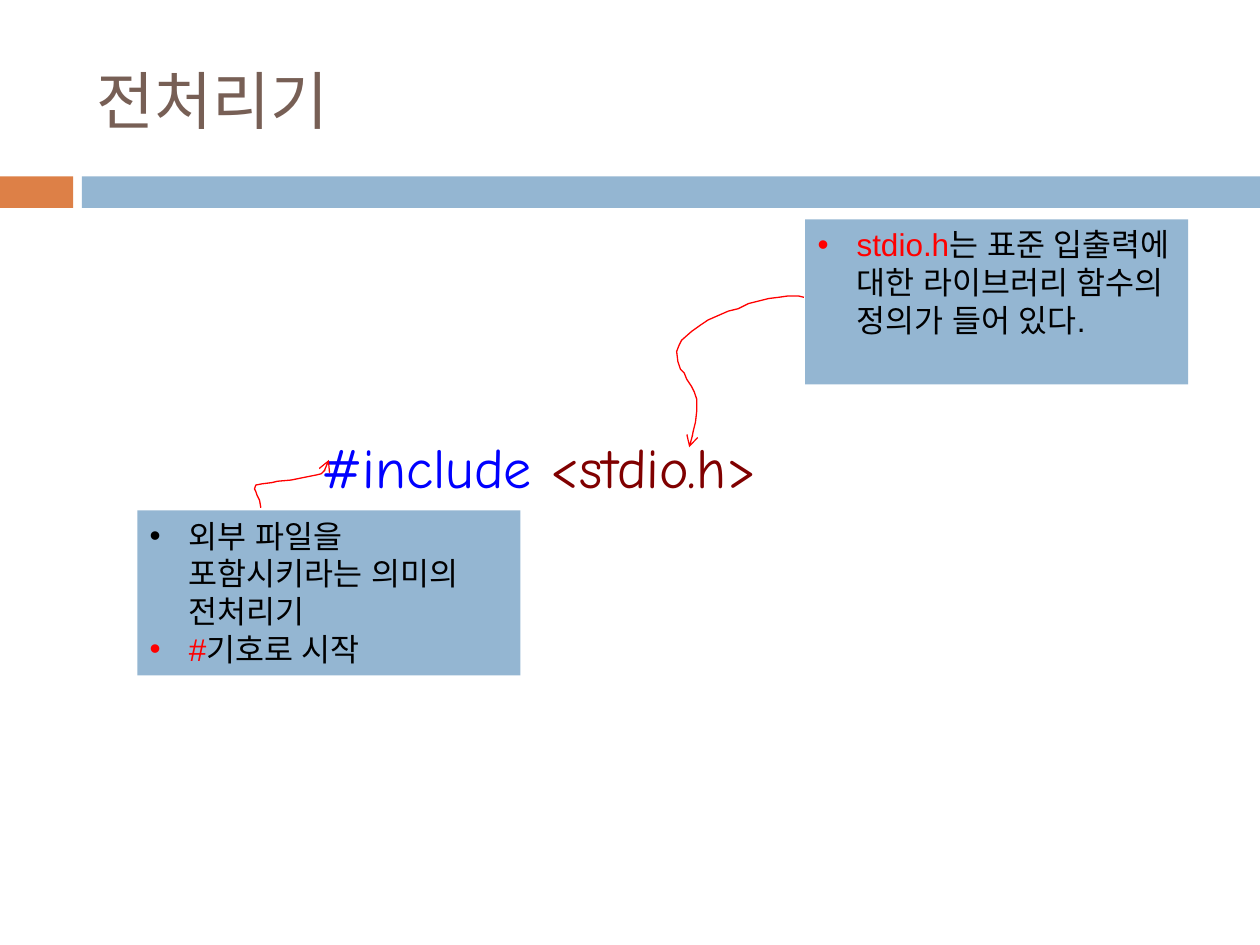
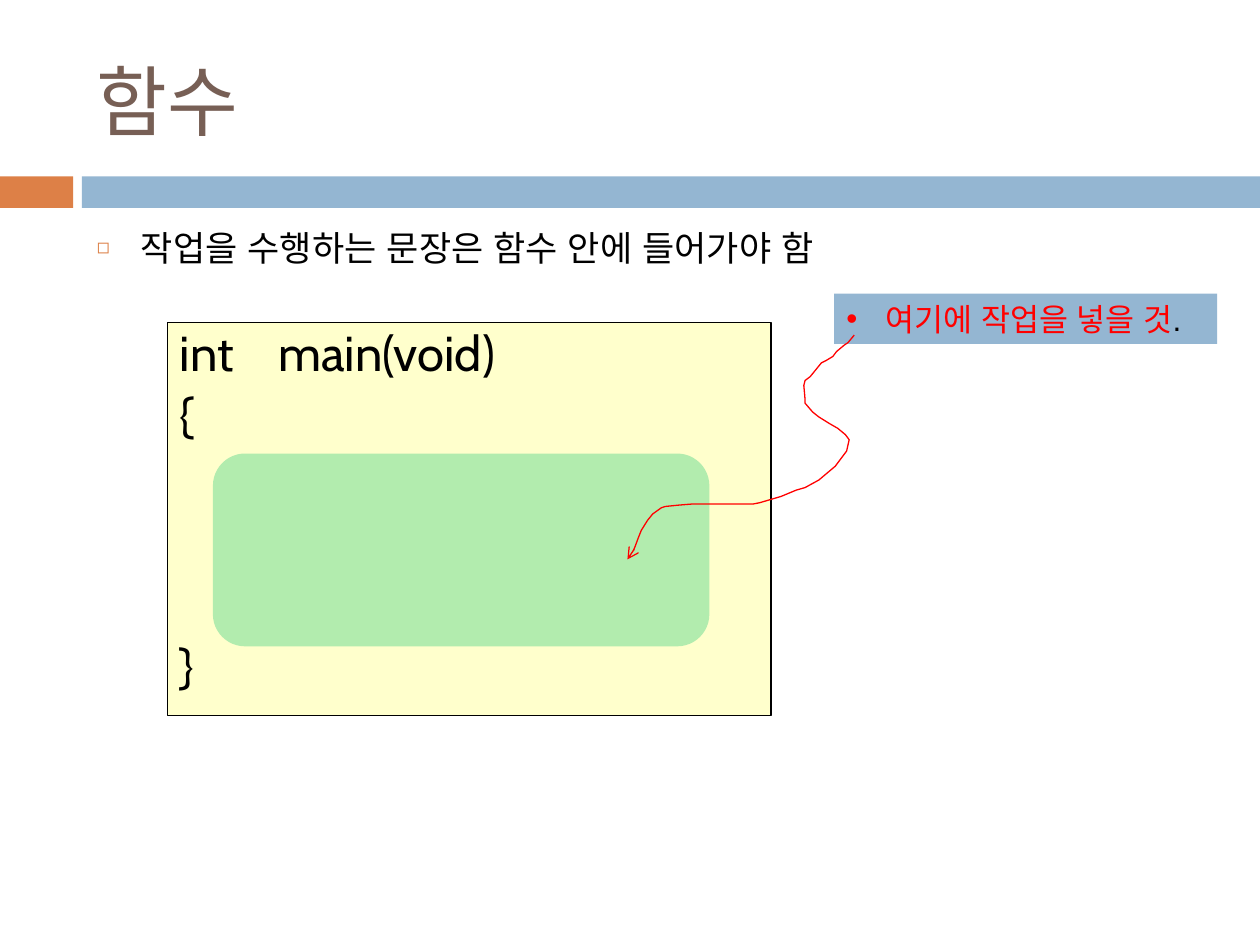
import dataclasses
import typing

import pptx
import pptx.dml.color
import pptx.enum.shapes
import pptx.enum.text
import pptx.oxml
import pptx.oxml.ns
import pptx.util

Inches = pptx.util.Inches
Pt = pptx.util.Pt
KIND = pptx.enum.shapes.MSO_SHAPE
ANCHOR = pptx.enum.text.MSO_ANCHOR

COLORS = {
    "orange": "DD8047", "blue": "94B6D2", "brown": "775F55",
    "black": "000000", "red": "FF0000", "key": "0000FF",
    "maroon": "800000", "cream": "FFFFCC", "green": "B2ECAE",
}

Spot = tuple[float, float, float, float]
Trail = list[tuple[float, float]]


@dataclasses.dataclass
class Run:
    text: str
    color: str = "black"


@dataclasses.dataclass
class Style:
    size: int
    font: str = "Arial"
    bullet: str = ""
    hang: float = 0
    tint: str = ""
    scale: int = 100
    tab: float = 0
    format: dict[str, typing.Any] = dataclasses.field(default_factory=dict)


@dataclasses.dataclass
class Line:
    runs: list[Run]
    format: dict[str, typing.Any] = dataclasses.field(default_factory=dict)


@dataclasses.dataclass
class Box:
    at: Spot
    fill: str = ""
    edge: str = ""
    kind: typing.Any = KIND.RECTANGLE
    lines: list[Line] = dataclasses.field(default_factory=list)
    style: Style | None = None
    anchor: typing.Any = ANCHOR.TOP


# Text styles
CODE = {"line_spacing": 0.9, "space_before": Pt(5.6)}
NOTE = Style(18, bullet="•", hang=0.31)
POINT = Style(20, bullet="◻", hang=0.35, tint="orange", scale=60,
              format={"space_before": Pt(7)})
HEADER = Style(32, "Comic Neue", format=CODE | {"space_before": Pt(6.4)})
SOURCE = Style(28, "Cabin", tab=0.78, format=CODE)

# Bands under the title
BANDS = [Box((0, 1.4, 0.58, 0.25), "orange"),
         Box((0.65, 1.4, 9.35, 0.25), "blue")]


def shade(name: str) -> pptx.dml.color.RGBColor:
    return pptx.dml.color.RGBColor.from_string(COLORS[name])


def apply(target: typing.Any, values: dict[str, typing.Any]) -> None:
    for name, value in values.items():
        setattr(target, name, value)


def add_xml(parent: typing.Any, tag: str, body: str = "") -> None:
    space = pptx.oxml.ns.nsdecls("a")
    name = tag.split()[0]
    parent.append(pptx.oxml.parse_xml(f"<a:{tag} {space}>{body}</a:{name}>"))


def mark(para: typing.Any, style: Style) -> None:
    """Add the bullet, hanging indent and tab stop."""
    props = para._p.get_or_add_pPr()
    if style.bullet:
        props.set("marL", str(Inches(style.hang)))
        props.set("indent", str(-Inches(style.hang)))
        if style.tint:
            add_xml(props, "buClr", f'<a:srgbClr val="{COLORS[style.tint]}"/>')
        add_xml(props, f'buSzPct val="{style.scale * 1000}"')
        add_xml(props, 'buFont typeface="Arial"')
        add_xml(props, f'buChar char="{style.bullet}"')
    if style.tab:
        add_xml(props, "tabLst", f'<a:tab pos="{Inches(style.tab)}" algn="l"/>')


def write(frame: typing.Any, box: Box) -> None:
    apply(frame, {"word_wrap": True, "vertical_anchor": box.anchor})
    style = box.style
    for spot, line in enumerate(box.lines):
        para = frame.add_paragraph() if spot else frame.paragraphs[0]
        left = {"alignment": pptx.enum.text.PP_ALIGN.LEFT}
        apply(para, left | style.format | line.format)
        mark(para, style)
        for part in line.runs:
            run = para.add_run()
            run.text = part.text
            apply(run.font, {"name": style.font, "size": Pt(style.size)})
            run.font.color.rgb = shade(part.color)
            # Korean text takes its word spaces from this font
            add_xml(run._r.get_or_add_rPr(), f'ea typeface="{style.font}"')


def paint(shape: typing.Any, fill: str, edge: str) -> None:
    shape.shadow.inherit = False
    if fill:
        shape.fill.solid()
        shape.fill.fore_color.rgb = shade(fill)
    else:
        shape.fill.background()
    if edge:
        shape.line.color.rgb = shade(edge)
        shape.line.width = Pt(0.75)
    else:
        shape.line.fill.background()


def draw(slide: typing.Any, box: Box) -> None:
    place = [Inches(side) for side in box.at]
    if box.fill:
        shape = slide.shapes.add_shape(box.kind, *place)
        paint(shape, box.fill, box.edge)
    else:
        shape = slide.shapes.add_textbox(*place)
    if box.lines:
        write(shape.text_frame, box)


def trace(slide: typing.Any, trail: Trail) -> None:
    """Draw a hand-drawn red line that ends in an open arrowhead."""
    first, *rest = [(Inches(x), Inches(y)) for x, y in trail]
    pen = slide.shapes.build_freeform(*first)
    pen.add_line_segments(rest, close=False)
    shape = pen.convert_to_shape()
    paint(shape, "", "red")
    add_xml(shape.line._get_or_add_ln(), 'tailEnd type="arrow"')


def add_page(deck: typing.Any, title: str, size: int) -> typing.Any:
    slide = deck.slides.add_slide(deck.slide_layouts[6])
    head = Box((0.67, 0.25, 8.92, 1.08), lines=[Line([Run(title, "brown")])],
               style=Style(size, "Cabin"), anchor=ANCHOR.MIDDLE)
    for box in [*BANDS, head]:
        draw(slide, box)
    return slide


def note(left: float, top: float, height: float, *lines: list[Run]) -> Box:
    return Box((left, top, 3.04, height), "blue",
               lines=[Line(runs) for runs in lines], style=NOTE)


def main() -> None:
    deck = pptx.Presentation()
    apply(deck, {"slide_width": Inches(10), "slide_height": Inches(7.5)})

    # Slide 1: the include line and its two notes
    slide = add_page(deck, "전처리기", 36)
    draw(slide, Box((2.45, 3.44, 3.94, 0.59), style=HEADER, lines=[
        Line([Run("#include", "key"), Run(" <stdio.h>", "maroon")])]))
    draw(slide, note(1.09, 4.05, 1.31,
                     [Run("외부 파일을 포함시키라는 의미의 전처리기")],
                     [Run("#", "red"), Run("기호로 시작")]))
    trace(slide, [
        (2.07, 4.03), (2.06, 3.97), (2.04, 3.93), (2.03, 3.9), (2.02, 3.88),
        (2.03, 3.85), (2.08, 3.84), (2.16, 3.83), (2.2, 3.82), (2.31, 3.81),
        (2.41, 3.79), (2.51, 3.77), (2.55, 3.76), (2.59, 3.72), (2.61, 3.68),
        (2.61, 3.65)])
    draw(slide, note(6.39, 1.74, 1.31, [
        Run("stdio.h", "red"),
        Run("는 표준 입출력에 대한 라이브러리 함수의 정의가 들어 있다.")]))
    trace(slide, [
        (6.38, 2.36), (6.34, 2.35), (6.25, 2.35), (6.18, 2.36), (6.1, 2.37),
        (5.94, 2.41), (5.86, 2.45), (5.78, 2.47), (5.62, 2.54), (5.56, 2.58),
        (5.49, 2.63), (5.41, 2.7), (5.39, 2.74), (5.37, 2.79), (5.38, 2.87),
        (5.4, 2.93), (5.43, 2.96), (5.45, 3.01), (5.49, 3.07), (5.51, 3.11),
        (5.53, 3.17), (5.53, 3.26), (5.52, 3.35), (5.5, 3.43), (5.49, 3.49),
        (5.47, 3.55)])

    # Slide 2: the main function and the place for its body
    slide = add_page(deck, "함수", 44)
    draw(slide, Box((0.67, 1.75, 8.92, 4.92), style=POINT, lines=[
        Line([Run("작업을 수행하는 문장은 함수 안에 들어가야 함")])]))
    draw(slide, Box((1.33, 2.56, 4.79, 3.12), "cream", "black", style=SOURCE,
                    lines=[Line([Run("int\tmain(void)")]), Line([Run("{")]),
                           Line([Run("}")], {"space_before": Pt(113)})]))
    draw(slide, Box((1.69, 3.6, 3.94, 1.53), "green",
                    kind=KIND.ROUNDED_RECTANGLE))
    draw(slide, note(6.62, 2.33, 0.4,
                     [Run("여기에 작업을 넣을 것", "red"), Run(".")]))
    trace(slide, [
        (6.78, 2.66), (6.73, 2.72), (6.7, 2.74), (6.64, 2.79), (6.61, 2.83),
        (6.56, 2.86), (6.52, 2.88), (6.43, 2.99), (6.39, 3.02), (6.38, 3.06),
        (6.39, 3.17), (6.39, 3.2), (6.45, 3.27), (6.5, 3.31), (6.58, 3.36),
        (6.65, 3.4), (6.71, 3.45), (6.74, 3.49), (6.72, 3.58), (6.66, 3.66),
        (6.63, 3.7), (6.5, 3.81), (6.39, 3.87), (6.32, 3.89), (6.2, 3.94),
        (6.03, 3.99), (5.98, 4), (5.5, 4), (5.38, 4.01), (5.28, 4.02),
        (5.25, 4.03), (5.18, 4.08), (5.14, 4.13), (5.09, 4.21), (5.07, 4.26),
        (5.04, 4.34), (5.02, 4.39), (5.01, 4.42), (4.98, 4.44)])

    deck.save("out.pptx")


if __name__ == "__main__":
    main()
